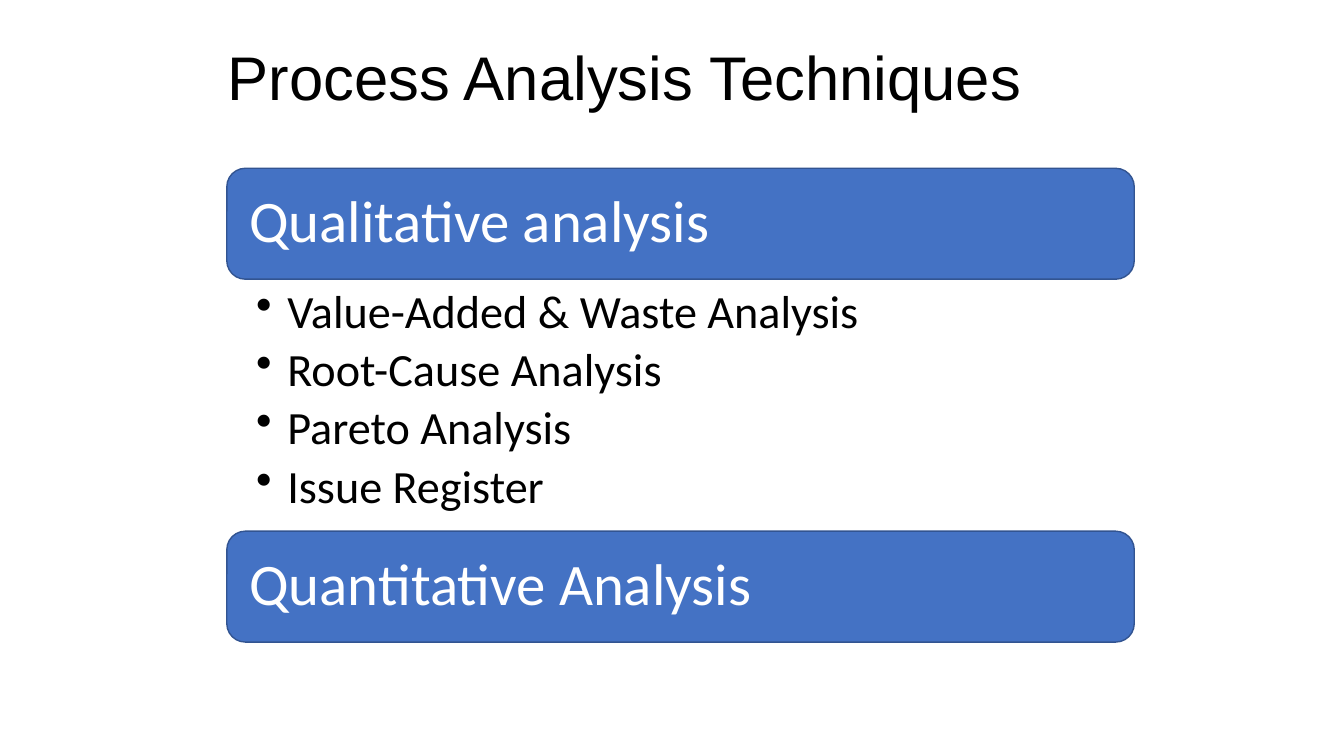
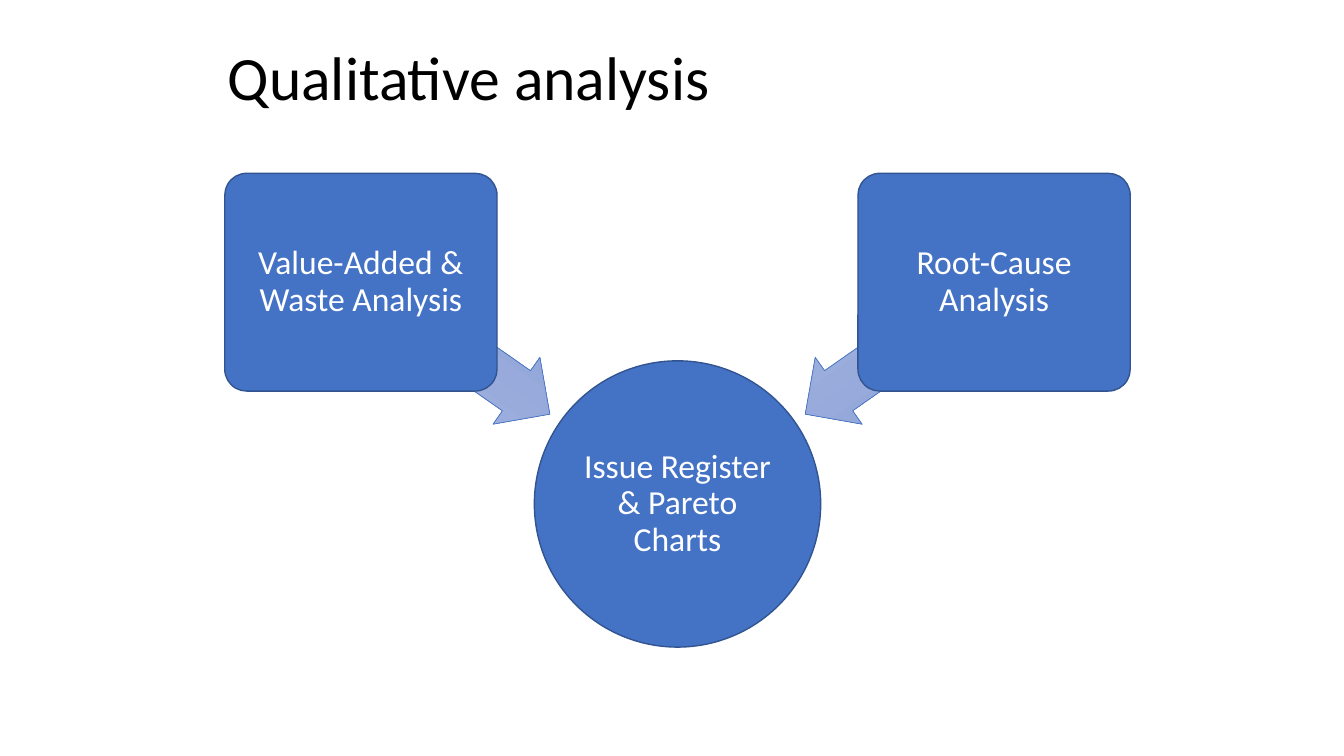
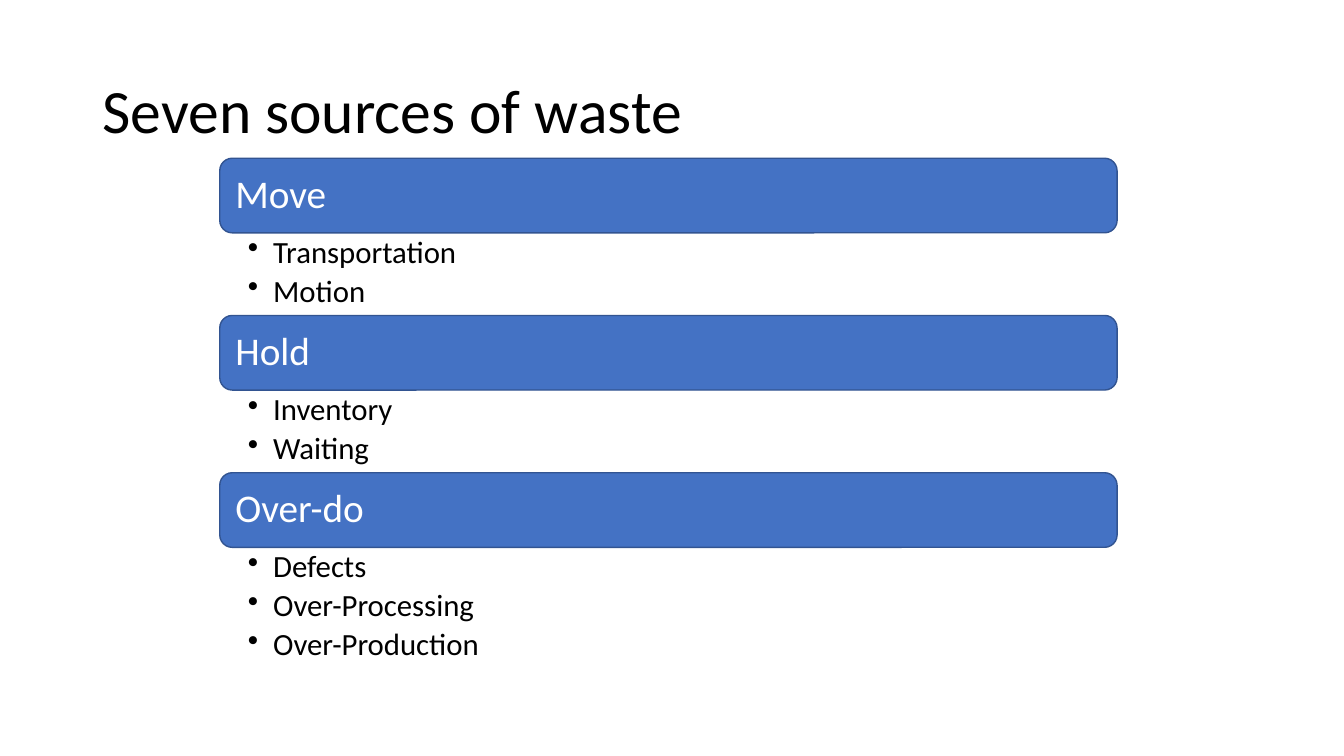
"""Three slides on techniques for analysing business processes."""
from dataclasses import dataclass

from lxml import etree
from pptx import Presentation
from pptx.dml.color import RGBColor
from pptx.enum import shapes, text
from pptx.oxml import ns
from pptx.util import Inches, Pt


@dataclass(frozen=True)
class Theme:
    ink: str = "000000"
    paper: str = "FFFFFF"
    fill: str = "4472C4"
    edge: str = "325491"
    arrow_from: str = "A8B7DF"
    arrow_to: str = "889ED7"
    font: str = "Calibri"
    title_font: str = "Arial"
    title: int = 44
    band: int = 42
    body: int = 33
    small_band: int = 28
    small_body: int = 22
    node: int = 24
    line_spacing: float = 0.9
    after: float = 0.18


class Deck:
    """Holds the theme and the current slide."""

    def __init__(self, theme):
        """Start an empty widescreen deck."""
        self.t = theme
        self.prs = Presentation()
        self.prs.slide_width, self.prs.slide_height = Inches(13.33), Inches(7.5)

    def slide(self, title, left=2.16, top=0.17, width=9, height=1.25, font=None):
        """Add a blank slide with a title."""
        self.s = self.prs.slides.add_slide(self.prs.slide_layouts[6])
        sp = self.text_box(left, top, width, height)
        self.put_text(sp, [title], self.t.title, self.t.ink, (0.1, 0.05, 0.1, 0.05), font=font)

    def text_box(self, *place):
        """Add an empty text box."""
        return self.s.shapes.add_textbox(*map(Inches, place))

    def shape(self, kind, *place, line=None, weight=1, adjust=()):
        """Add a filled preset shape."""
        sp = self.s.shapes.add_shape(kind, *map(Inches, place))
        sp.shadow.inherit = False
        sp.fill.solid()
        sp.fill.fore_color.rgb = RGBColor.from_string(self.t.fill)
        sp.line.color.rgb = RGBColor.from_string(line or self.t.edge)
        sp.line.width = Pt(weight)
        for i, value in enumerate(adjust):
            sp.adjustments[i] = value
        return sp

    def put_text(self, sp, lines, size, color, insets, align="LEFT", anchor="MIDDLE",
                 font=None, indent=0):
        """Fill a shape with paragraphs, bulleted when indent is given."""
        tf = sp.text_frame
        frame = dict(zip(("margin_left", "margin_top", "margin_right", "margin_bottom"),
                         map(Inches, insets)))
        frame.update(word_wrap=True, vertical_anchor=text.MSO_ANCHOR[anchor])
        for name, value in frame.items():
            setattr(tf, name, value)
        for i, line in enumerate(lines):
            p = tf.add_paragraph() if i else tf.paragraphs[0]
            if indent:
                pPr = p._p.get_or_add_pPr()
                pPr.set("marL", str(Inches(indent)))
                pPr.set("indent", str(-Inches(indent)))
                etree.SubElement(pPr, ns.qn("a:buChar")).set("char", "•")
            style = {"alignment": text.PP_ALIGN[align], "line_spacing": self.t.line_spacing,
                     "space_after": Pt(round(size * self.t.after) if indent else 0)}
            for name, value in style.items():
                setattr(p, name, value)
            r = p.add_run()
            r.text = line
            for name, value in {"size": Pt(size), "name": font or self.t.font}.items():
                setattr(r.font, name, value)
            r.font.color.rgb = RGBColor.from_string(color)

    def band(self, label, left, top, width, height, size, inset):
        """Add a rounded heading band."""
        sp = self.shape(shapes.MSO_SHAPE.ROUNDED_RECTANGLE, left, top, width, height)
        self.put_text(sp, [label], size, self.t.paper, [inset] * 4)

    def bullets(self, lines, left, top, width, height, size, insets, indent):
        """Add a bulleted list."""
        sp = self.text_box(left, top, width, height)
        self.put_text(sp, lines, size, self.t.ink, insets, anchor="TOP", indent=indent)

    def node(self, kind, label, center, top, width, height, inset, adjust=()):
        """Add a shape with a centred label."""
        sp = self.shape(kind, center - width / 2, top, width, height, adjust=adjust)
        self.put_text(sp, [label], self.t.node, self.t.paper, [inset] * 4, align="CENTER")

    def arrow(self, center, top, width, height, rotation):
        """Add a turned block arrow with a gradient."""
        sp = self.shape(shapes.MSO_SHAPE.LEFT_ARROW, center - width / 2, top, width, height,
                        line=self.t.fill, weight=0.5, adjust=(0.6, 0.5))
        sp.rotation = rotation
        sp.fill.gradient()
        sp.fill.gradient_angle = 270
        for stop, color in zip(sp.fill.gradient_stops, (self.t.arrow_from, self.t.arrow_to)):
            stop.color.rgb = RGBColor.from_string(color)


def techniques(d):
    """Build the overview of techniques."""
    d.slide("Process Analysis Techniques", font=d.t.title_font)
    left, width, height = 2.25, 9, 1.1
    for label, top in (("Qualitative analysis", 1.67), ("Quantitative Analysis", 5.27)):
        d.band(label, left, top, width, height, d.t.band, 0.17)
    d.bullets(["Value-Added & Waste Analysis", "Root-Cause Analysis", "Pareto Analysis",
               "Issue Register"], left, 2.8, width, 2.47, d.t.body,
              (0.29, 0.06, 0.33, 0.06), 0.31)


def qualitative(d):
    """Build the diagram of two analyses feeding a register."""
    d.slide("Qualitative analysis")
    middle = 6.72
    d.node(shapes.MSO_SHAPE.OVAL, "Issue Register & Pareto Charts", middle, 3.58, 2.84, 2.84, 0.02)
    for label, side in (("Value-Added & Waste Analysis", -1), ("Root-Cause Analysis", 1)):
        d.arrow(middle + side * 2.2, 3.05, 2.28, 0.81, 270 + side * 55)
        d.node(shapes.MSO_SHAPE.ROUNDED_RECTANGLE, label, middle + side * 3.14, 1.72,
               2.7, 2.16, 0.05, adjust=(0.1,))


def waste(d):
    """Build the list of waste sources."""
    d.slide("Seven sources of waste", 0.92, 0.4, 11.5, 1.45)
    groups = {"Move": ["Transportation", "Motion"],
              "Hold": ["Inventory", "Waiting"],
              "Over-do": ["Defects", "Over-Processing", "Over-Production"]}
    left, top, width, height, line = 2.18, 1.57, 8.9, 0.74, 0.41
    for label, lines in groups.items():
        d.band(label, left, top, width, height, d.t.small_band, 0.12)
        top += height
        body = line * len(lines)
        d.bullets(lines, left, top, width, body, d.t.small_body, (0.28, 0.04, 0.22, 0.04), 0.25)
        top += body


def main():
    """Build and save the deck."""
    d = Deck(Theme())
    for build in (techniques, qualitative, waste):
        build(d)
    d.prs.save("out.pptx")


if __name__ == "__main__":
    main()
